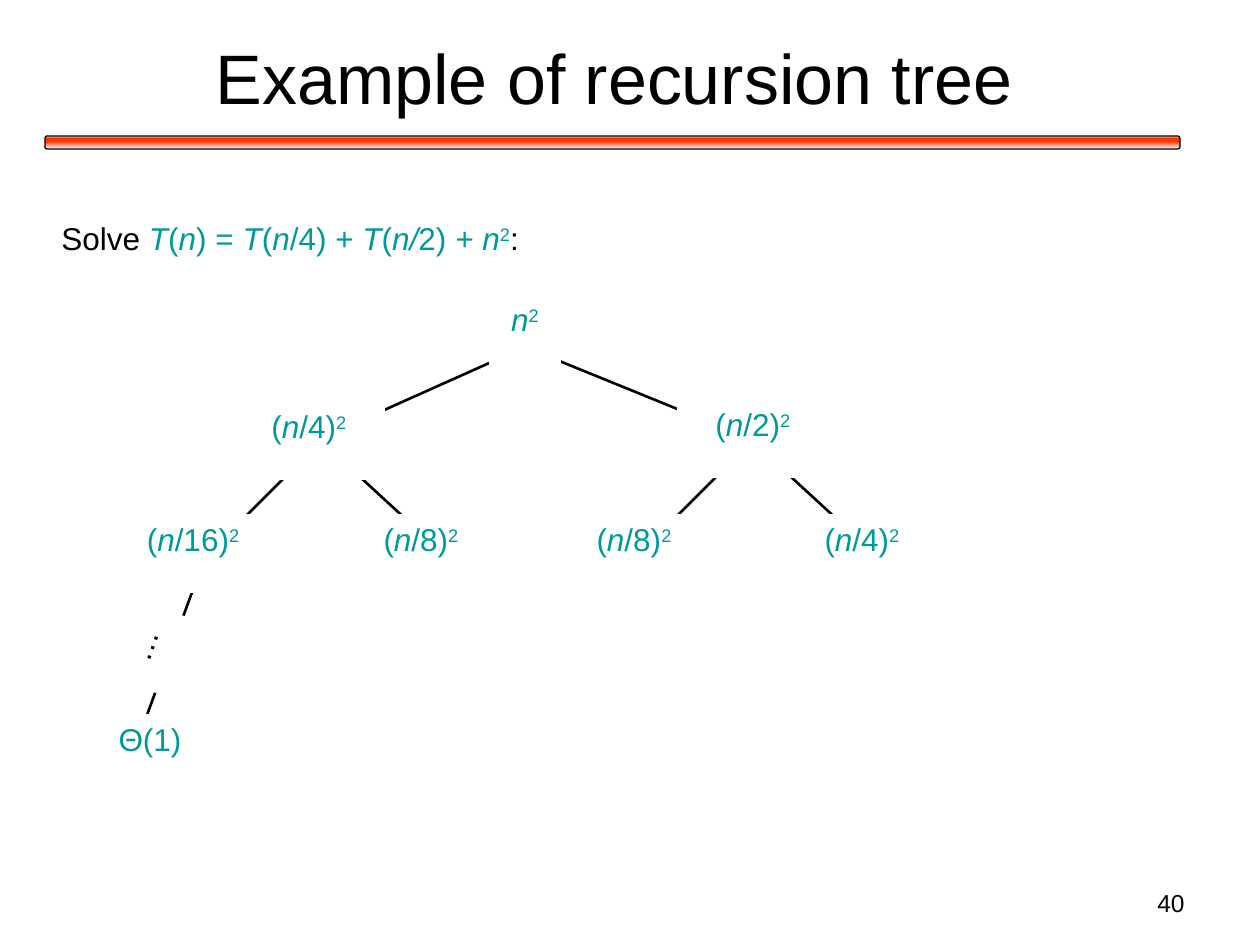
import pptx
import pptx.dml.color
import pptx.enum.shapes
import pptx.enum.text
import pptx.oxml
import pptx.oxml.ns
import pptx.util
from lxml import etree

BLACK = pptx.dml.color.RGBColor(0x00, 0x00, 0x00)
WHITE = pptx.dml.color.RGBColor(0xFF, 0xFF, 0xFF)
RED = pptx.dml.color.RGBColor(0xFF, 0x33, 0x00)
TEAL = pptx.dml.color.RGBColor(0x00, 0x99, 0x99)
ALIGN = pptx.enum.text.PP_ALIGN
ANCHOR = pptx.enum.text.MSO_ANCHOR
SHAPE = pptx.enum.shapes.MSO_SHAPE


def px(length):
    return pptx.util.Emu(round(length * 914400 / 126))


class TreeSlide:
    font = "Arial"

    def __init__(self, deck):
        self.page = deck.slides.add_slide(deck.slide_layouts[5])

    def add_spans(self, box, spans, size, align, anchor=ANCHOR.TOP, wrap=False):
        """Fill a frame with (text, colour, style); style is "", "italic" or "raised"."""
        frame = box.text_frame
        frame.word_wrap = wrap
        frame.auto_size = pptx.enum.text.MSO_AUTO_SIZE.NONE
        frame.vertical_anchor = anchor
        para = frame.paragraphs[0]
        para.alignment = align
        for text, color, style in spans:
            span = para.add_run()
            span.text = text
            span.font.name = self.font
            span.font.size = pptx.util.Pt(size)
            span.font.color.rgb = color
            span.font.italic = style == "italic"
            if style == "raised":
                span._r.get_or_add_rPr().set("baseline", "30000")

    def title(self, text, *place):
        box = self.page.shapes.title
        box.left, box.top, box.width, box.height = map(px, place)
        self.add_spans(box, [(text, BLACK, "")], 40, ALIGN.CENTER, ANCHOR.MIDDLE, True)

    def text(self, spans, place, size=18, align=ALIGN.LEFT, wrap=False):
        box = self.page.shapes.add_textbox(*map(px, place))
        self.add_spans(box, spans, size, align, wrap=wrap)

    def node(self, spans, left, top, width, rotation=0):
        box = self.page.shapes.add_shape(SHAPE.RECTANGLE, *map(px, (left, top, width, 79)))
        box.shadow.inherit = False
        box.fill.solid()
        box.fill.fore_color.rgb = WHITE
        box.line.fill.background()
        box.rotation = rotation
        self.add_spans(box, spans, 18, ALIGN.CENTER)

    def edge(self, start, end):
        line = self.page.shapes.add_connector(
            pptx.enum.shapes.MSO_CONNECTOR.STRAIGHT, *map(px, start + end))
        line.line.color.rgb = BLACK
        line.line.width = pptx.util.Pt(1.5)
        etree.SubElement(line._element.spPr, pptx.oxml.ns.qn("a:effectLst"))

    def bar(self, place, stops):
        box = self.page.shapes.add_shape(SHAPE.ROUNDED_RECTANGLE, *map(px, place))
        box.shadow.inherit = False
        box.line.color.rgb = BLACK
        box.line.width = pptx.util.Pt(0.75)
        box.fill.gradient()
        box.fill.gradient_angle = 270
        stop_list = box._element.spPr.find(".//" + pptx.oxml.ns.qn("a:gsLst"))
        for stop in list(stop_list):
            stop_list.remove(stop)
        for percent, color in stops:
            stop_list.append(pptx.oxml.parse_xml(
                f'<a:gs {pptx.oxml.ns.nsdecls("a")} pos="{percent * 1000}">'
                f'<a:srgbClr val="{color}"/></a:gs>'))


def teal(*parts):
    """Teal spans; n and T are italic, and a lone final 2 is raised."""
    last = len(parts) - 1
    return [(part, TEAL, "raised" if i == last and part == "2" else
             "italic" if part in ("n", "T", "n/", " + n") else "")
            for i, part in enumerate(parts)]


def square(divisor):
    return teal("(", "n", f"/{divisor})", "2")


deck = pptx.Presentation()
deck.slide_width, deck.slide_height = px(1260), px(945)
slide = TreeSlide(deck)

# Heading
slide.bar((45, 136, 1135, 13), [(0, WHITE), (16, RED), (42, RED), (100, WHITE)])
slide.title("Example of recursion tree", 47, 14, 1134, 125)

# Recurrence
recurrence = teal("T", "(", "n", ") = ", "T", "(", "n", "/4) + ",
                  "T", "(", "n/", "2)", " + n", "2")
slide.text([("Solve ", BLACK, "")] + recurrence + [(":", BLACK, "")], (49, 213, 790, 79))

# Edges, partly covered by the nodes
root = (525, 347)
for child in ((315, 441), (756, 441)):
    slide.edge(root, child)
for parent_x in (321, 752):
    for shift in (-116, 126):
        slide.edge((parent_x, 441), (parent_x + shift, 557))
slide.edge((205, 557), (132, 756))

# Nodes
slide.node(teal("n", "2"), 489, 294, 72)
for divisor, left, top, width in (
        (4, 233, 401, 152), (2, 677, 399, 152),
        (16, 103, 514, 180), (8, 345, 514, 152),
        (8, 558, 514, 152), (4, 786, 514, 152)):
    slide.node(square(divisor), left, top, width)
slide.node(teal("Θ(1)"), 84, 714, 132)
slide.node([("…", BLACK, "")], 115, 610, 82, rotation=289.4)

# Page number
slide.text([("40", BLACK, "")], (903, 882, 294, 44), 14, ALIGN.RIGHT, wrap=True)

deck.save("out.pptx")
